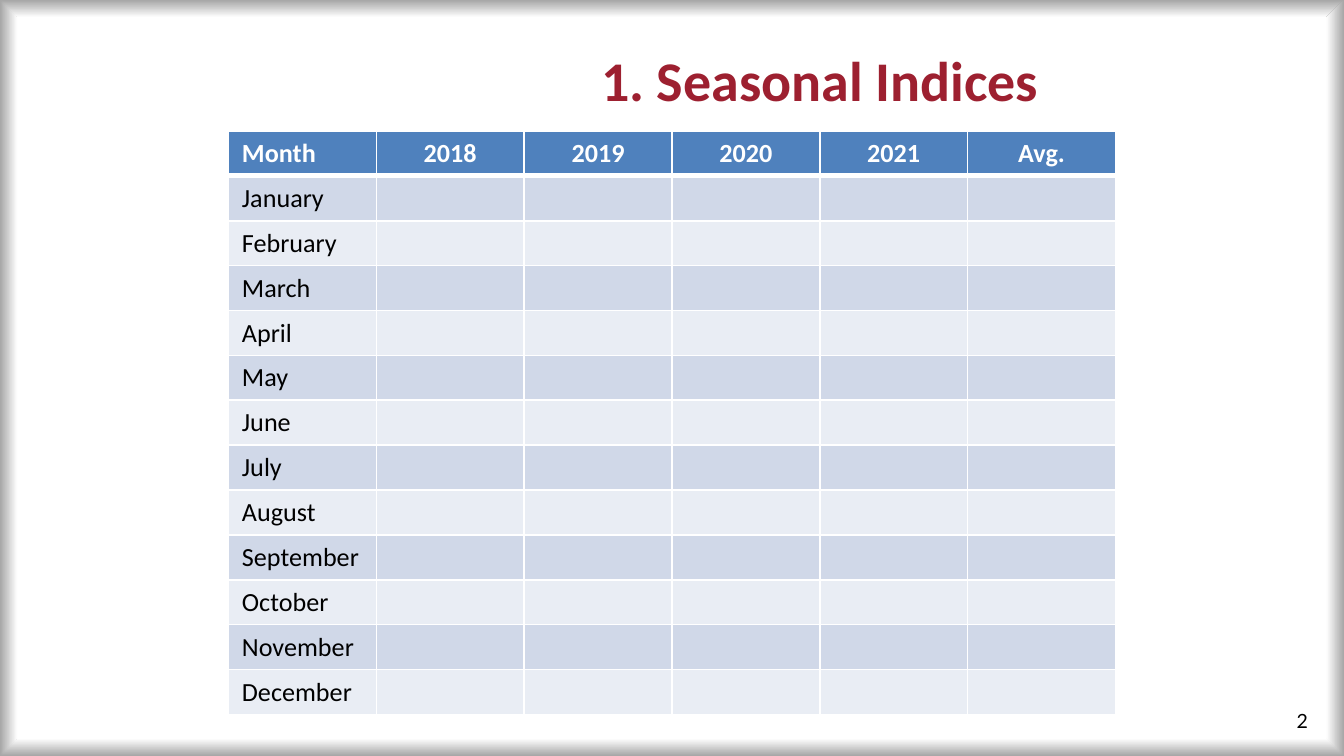
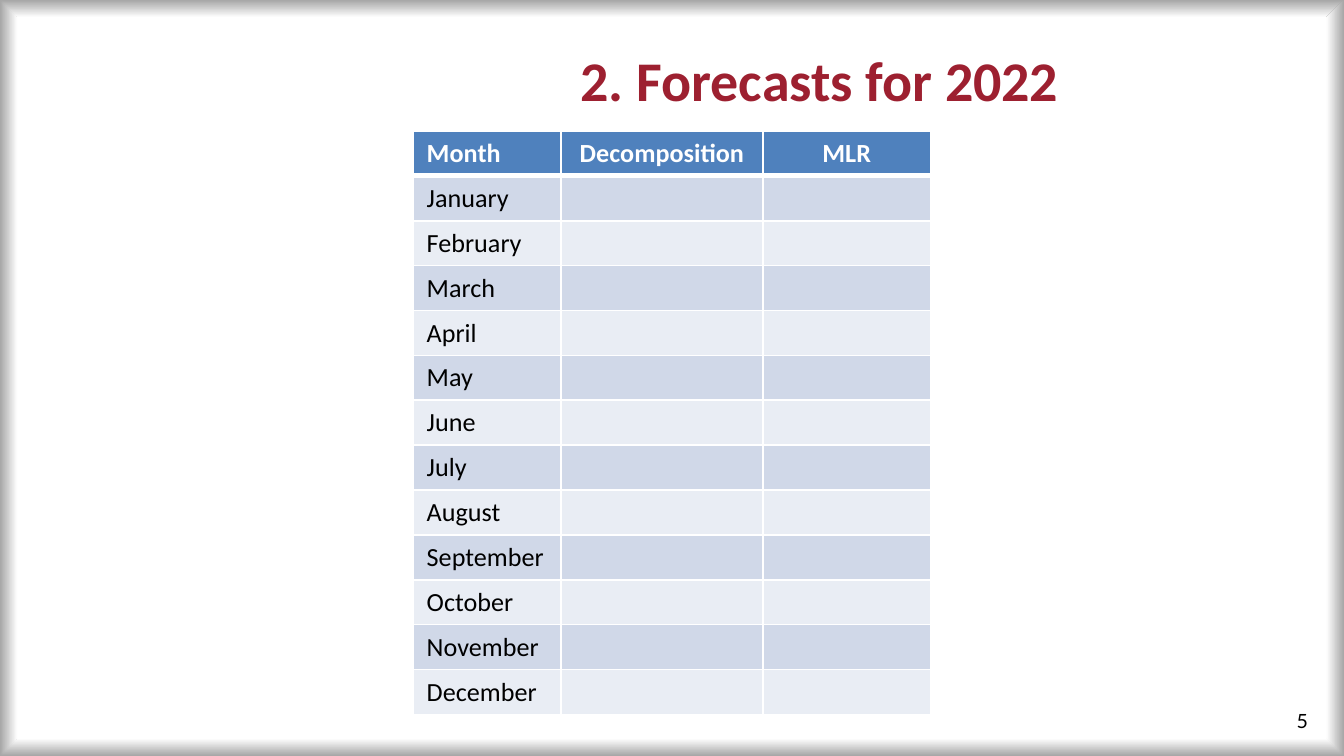
from dataclasses import dataclass

from lxml.etree import SubElement
from pptx import Presentation
from pptx.dml.color import RGBColor
from pptx.enum.text import MSO_ANCHOR, MSO_AUTO_SIZE, PP_ALIGN
from pptx.oxml import parse_xml
from pptx.oxml.ns import nsdecls, qn
from pptx.util import Inches, Pt


@dataclass(frozen=True)
class Theme:
    """Colours, fonts and type sizes of the deck."""
    crimson: str = "9D2030"
    black: str = "000000"
    white: str = "FFFFFF"
    edge: str = "A6A6A6"
    header: str = "4F81BD"
    bands: tuple = ("D0D8E8", "E9EDF4")
    body_font: str = "Calibri"
    number_font: str = "Lato"
    title_size: float = 30
    table_size: float = 14
    number_size: float = 10.5


T = Theme()
COLS, ROWS = 100, 56.25
UNIT = Inches(0.1)
TITLE_BOX = (24.9, 1.2, 72.2, 9.4)
NUMBER_BOX = (75, 52.1, 23.3, 3)
TABLE_TOP, ROW_HEIGHT = 9.75, 3.33
EDGE = 1.3
MONTHS = ("January February March April May June July August "
          "September October November December").split()


def grid(*cells):
    """Turn grid cells into lengths."""
    return [round(c * UNIT) for c in cells]


def apply(obj, fmt):
    """Set each attribute in fmt on obj."""
    for name, value in fmt.items():
        setattr(obj, name, value)


def write(tf, text, font, size, color, bold=False, align=PP_ALIGN.LEFT):
    """Write one formatted paragraph into a text frame."""
    p = tf.paragraphs[0]
    p.alignment = align
    if not text:
        SubElement(p._p, qn("a:endParaRPr"), sz=str(size * 100))
        return
    r = p.add_run()
    r.text = text
    apply(r.font, {"name": font, "size": Pt(size), "bold": bold})
    r.font.color.rgb = RGBColor.from_string(color)


def add_edge(slide, points, angle):
    """Add an outline that fades from the edge colour to white."""
    pts = [grid(*pt) for pt in points]
    builder = slide.shapes.build_freeform(*pts[0])
    builder.add_line_segments(pts[1:])
    sp = builder.convert_to_shape()
    sp.shadow.inherit = False
    sp.line.fill.background()
    sp.fill.gradient()
    sp.fill.gradient_angle = angle
    for stop, position, color in zip(sp.fill.gradient_stops, (0, 1), (T.edge, T.white)):
        stop.position = position
        stop.color.rgb = RGBColor.from_string(color)
    return sp


def add_frame(slide, layout):
    """Give the layout its shaded frame, drawn by way of a slide."""
    right, bottom = COLS - EDGE, ROWS - EDGE
    nw, ne, se, sw = (0, 0), (COLS, 0), (COLS, ROWS), (0, ROWS)
    edges = [
        ([(0, bottom), (COLS, bottom), se, sw], 90),
        ([nw, ne, (COLS, EDGE), (0, EDGE)], 270),
        ([nw, (EDGE, EDGE), (EDGE, bottom), sw], 0),
        ([ne, se, (right, bottom), (right, EDGE)], 180),
    ]
    for i, (points, angle) in enumerate(edges):
        sp = add_edge(slide, points, angle)
        layout.shapes._spTree.insert(2 + i, sp._element)


def set_title(slide, text):
    """Place and format the title placeholder."""
    sp = slide.shapes.title
    apply(sp, dict(zip(("left", "top", "width", "height"), grid(*TITLE_BOX))))
    apply(sp.text_frame, {"vertical_anchor": MSO_ANCHOR.MIDDLE, "word_wrap": True,
                          "auto_size": MSO_AUTO_SIZE.NONE})
    write(sp.text_frame, text, T.body_font, T.title_size, T.crimson, True, PP_ALIGN.CENTER)


def add_number(slide, number):
    """Add the page number at the lower right."""
    tf = slide.shapes.add_textbox(*grid(*NUMBER_BOX)).text_frame
    apply(tf, {"vertical_anchor": MSO_ANCHOR.MIDDLE, "word_wrap": True,
               "margin_top": Inches(0.04), "margin_bottom": Inches(0.04)})
    write(tf, number, T.number_font, T.number_size, T.black, align=PP_ALIGN.RIGHT)


def set_borders(cell, top, bottom):
    """Draw white cell borders with the given top and bottom widths."""
    tc_pr = cell._tc.get_or_add_tcPr()
    sides = (("L", 1), ("R", 1), ("T", top), ("B", bottom))
    for i, (side, width) in enumerate(sides):
        tc_pr.insert(i, parse_xml(
            f'<a:ln{side} {nsdecls("a")} w="{Pt(width)}"><a:solidFill>'
            f'<a:srgbClr val="{T.white}"/></a:solidFill></a:ln{side}>'))


def add_month_table(slide, heads, widths):
    """Add a centred table with a header row and a row for each month."""
    rows = [heads] + [[m] + [""] * (len(heads) - 1) for m in MONTHS]
    width = sum(widths)
    box = grid((COLS - width) / 2, TABLE_TOP, width, ROW_HEIGHT * len(rows))
    table = slide.shapes.add_table(len(rows), len(heads), *box).table
    for col, w in zip(table.columns, grid(*widths)):
        col.width = w
    for i, row in enumerate(rows):
        is_head = i == 0
        fill = T.header if is_head else T.bands[(i - 1) % 2]
        color = T.white if is_head else T.black
        for j, text in enumerate(row):
            cell = table.cell(i, j)
            cell.fill.solid()
            cell.fill.fore_color.rgb = RGBColor.from_string(fill)
            set_borders(cell, 3 if i == 1 else 1, 3 if is_head else 1)
            align = PP_ALIGN.CENTER if j else PP_ALIGN.LEFT
            write(cell.text_frame, text, T.body_font, T.table_size, color, is_head, align)


def main():
    """Build the deck."""
    prs = Presentation()
    prs.slide_width, prs.slide_height = grid(COLS, ROWS)
    layout = prs.slide_layouts[5]
    pages = [
        ("1. Seasonal Indices", "2",
         ["Month", "2018", "2019", "2020", "2021", "Avg."], [11] * 6),
        ("2. Forecasts for 2022", "5",
         ["Month", "Decomposition", "MLR"], [11, 15, 12.5]),
    ]
    for i, (title, number, heads, widths) in enumerate(pages):
        slide = prs.slides.add_slide(layout)
        if i == 0:
            add_frame(slide, layout)
        set_title(slide, title)
        add_number(slide, number)
        add_month_table(slide, heads, widths)
    prs.save("out.pptx")


if __name__ == "__main__":
    main()
